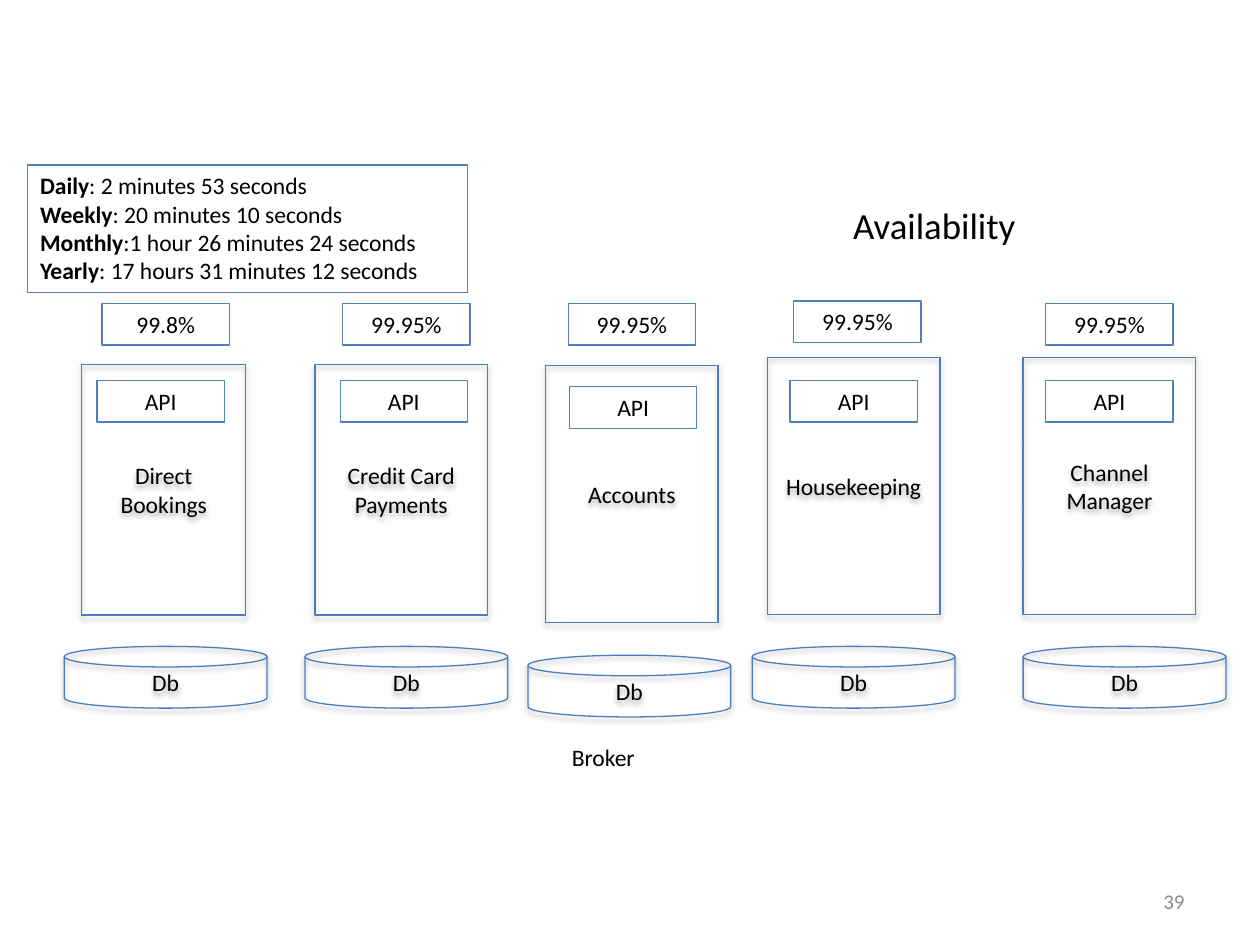
"""Build the service availability slide: five services, their APIs, databases and uptime."""
from lxml.etree import SubElement
from pptx import Presentation
from pptx.dml.color import RGBColor
from pptx.enum.shapes import MSO_SHAPE
from pptx.enum.text import MSO_ANCHOR, MSO_AUTO_SIZE, PP_ALIGN
from pptx.oxml.ns import qn
from pptx.util import Inches, Pt

THEME = {
    "font": "Calibri",
    "ink": "000000",
    "muted": "8C8C8C",
    "service_line": "4B7EBC",
    "label_line": "4F81BD",
    "body": 13.5,
    "title": 21,
    "number": 12,
    "line": 0.75,
    "shadow": {"blurRad": Pt(3.1), "dist": Pt(1.8), "dir": 90 * 60000, "rotWithShape": 0},
    "shadow_alpha": 35000,
}

SERVICES = [
    {"name": "Direct\nBookings", "uptime": "99.8%", "box": (0.65, 2.89, 1.3, 1.99),
     "api": (0.77, 3.02), "db": (0.51, 5.13), "uptime_at": (0.81, 2.41)},
    {"name": "Credit Card\nPayments", "uptime": "99.95%", "box": (2.5, 2.89, 1.37, 1.99),
     "api": (2.7, 3.02), "db": (2.42, 5.13), "uptime_at": (2.72, 2.41)},
    {"name": "Accounts", "uptime": "99.95%", "box": (4.33, 2.9, 1.37, 2.04),
     "api": (4.52, 3.07), "db": (4.19, 5.2), "uptime_at": (4.51, 2.41)},
    {"name": "Housekeeping", "uptime": "99.95%", "box": (6.09, 2.84, 1.37, 2.04),
     "api": (6.27, 3.02), "db": (5.97, 5.13), "uptime_at": (6.3, 2.39)},
    {"name": "Channel Manager", "uptime": "99.95%", "box": (8.12, 2.84, 1.37, 2.04),
     "api": (8.3, 3.02), "db": (8.12, 5.13), "uptime_at": (8.3, 2.41)},
]
DOWNTIME = [
    ("Daily", ": 2 minutes 53 seconds"),
    ("Weekly", ": 20 minutes 10 seconds"),
    ("Monthly", ":1 hour 26 minutes 24 seconds"),
    ("Yearly", ": 17 hours 31 minutes 12 seconds"),
]
LABEL_SIZE = (1.01, 0.33)
DB_SIZE = (1.61, 0.49)


def set_all(target, values):
    for name, value in values.items():
        setattr(target, name, value)


def plain(text):
    return [[(line, False)] for line in text.split("\n")]


def write(shape, lines, align=PP_ALIGN.CENTER, anchor=MSO_ANCHOR.TOP,
          size="body", color="ink", wrap=True):
    frame = shape.text_frame
    set_all(frame, {"word_wrap": wrap, "vertical_anchor": anchor,
                    "auto_size": MSO_AUTO_SIZE.NONE})
    for index, runs in enumerate(lines):
        paragraph = frame.add_paragraph() if index else frame.paragraphs[0]
        paragraph.alignment = align
        for text, bold in runs:
            run = paragraph.add_run()
            run.text = text
            set_all(run.font, {"name": THEME["font"], "size": Pt(THEME[size]), "bold": bold})
            run.font.color.rgb = RGBColor.from_string(THEME[color])


def place(shape, box):
    set_all(shape, dict(zip(("left", "top", "width", "height"), map(Inches, box))))


def add_outline(slide, kind, box, line):
    shape = slide.shapes.add_shape(kind, *map(Inches, box))
    shape.shadow.inherit = False
    shape.fill.background()
    shape.line.color.rgb = RGBColor.from_string(THEME[line])
    shape.line.width = Pt(THEME["line"])
    return shape


def add_label(slide, box, lines, align=PP_ALIGN.CENTER):
    write(add_outline(slide, MSO_SHAPE.RECTANGLE, box, "label_line"), lines, align)


def add_shadowed(slide, kind, box, text):
    shape = add_outline(slide, kind, box, "service_line")
    effects = shape.element.spPr.find(qn("a:effectLst"))
    shadow = SubElement(effects, qn("a:outerShdw"),
                        {name: str(value) for name, value in THEME["shadow"].items()})
    color = SubElement(shadow, qn("a:srgbClr"), val=THEME["ink"])
    SubElement(color, qn("a:alpha"), val=str(THEME["shadow_alpha"]))
    write(shape, plain(text), anchor=MSO_ANCHOR.MIDDLE)


def add_text(slide, box, text, **style):
    write(slide.shapes.add_textbox(*map(Inches, box)), plain(text), **style)


def main():
    deck = Presentation()
    set_all(deck, {"slide_width": Inches(10), "slide_height": Inches(7.5)})
    slide = deck.slides.add_slide(deck.slide_layouts[5])

    place(slide.shapes.title, (5.52, 1.56, 3.79, 0.45))
    write(slide.shapes.title, plain("Availability"), size="title")

    for service in SERVICES:
        add_shadowed(slide, MSO_SHAPE.RECTANGLE, service["box"], service["name"])
        add_shadowed(slide, MSO_SHAPE.FLOWCHART_MAGNETIC_DISK, service["db"] + DB_SIZE, "Db")
        add_label(slide, service["api"] + LABEL_SIZE, plain("API"))
        add_label(slide, service["uptime_at"] + LABEL_SIZE, plain(service["uptime"]))

    downtime_lines = [[(period, True), (length, False)] for period, length in DOWNTIME]
    add_label(slide, (0.22, 1.31, 3.49, 1.01), downtime_lines, PP_ALIGN.LEFT)
    add_text(slide, (4.44, 5.85, 0.71, 0.33), "Broker", align=PP_ALIGN.LEFT, wrap=False)
    add_text(slide, (7.17, 6.95, 2.33, 0.4), "39", align=PP_ALIGN.RIGHT,
             anchor=MSO_ANCHOR.MIDDLE, size="number", color="muted")
    deck.save("out.pptx")


if __name__ == "__main__":
    main()
